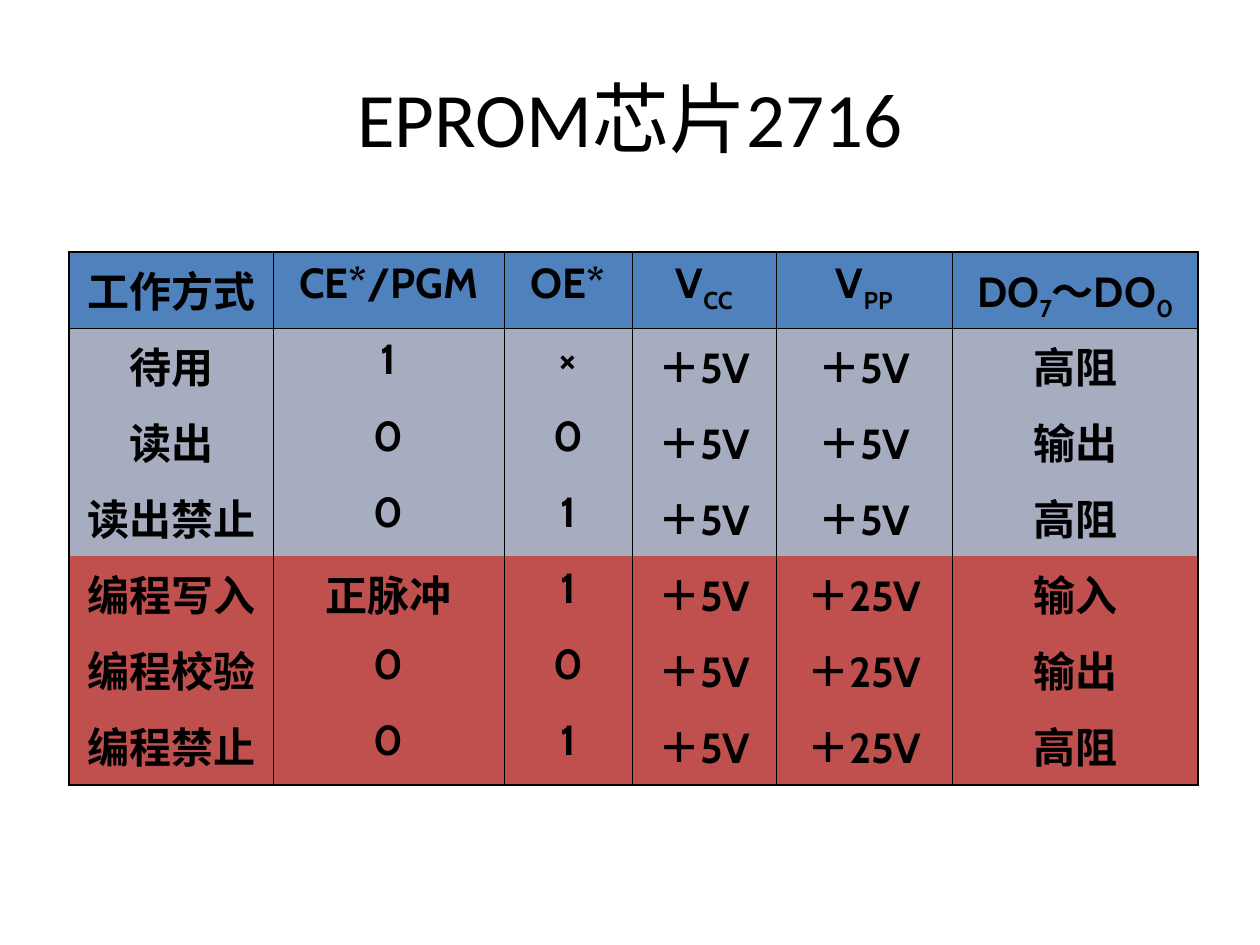
import pptx
import pptx.util
import pptx.dml.color
import pptx.enum.text
import pptx.oxml
import pptx.oxml.ns

Inches, Pt = pptx.util.Inches, pptx.util.Pt
ALIGN = pptx.enum.text.PP_ALIGN
BLUE, GRAY, RED, BLACK = "4F81BD", "A6ADC0", "C0504D", "000000"
THICK, THIN = 1.08, 0.45


def color(code):
    return pptx.dml.color.RGBColor.from_string(code)


def write(par, text, font, size, bold=False):
    """Add centred runs; every second piece between underscores is a subscript."""
    par.alignment = ALIGN.CENTER
    for n, piece in enumerate(text.split("_")):
        if not piece:
            continue
        run = par.add_run()
        run.text = piece
        run.font.name = font
        run.font.size = Pt(size)
        run.font.bold = bold
        run.font.color.rgb = color(BLACK)
        if n % 2:
            run.font._element.set("baseline", "-25000")


deck = pptx.Presentation()
deck.slide_width, deck.slide_height = Inches(10), Inches(7.5)
slide = deck.slides.add_slide(deck.slide_layouts[6])

# Title
wide, high = deck.slide_width, deck.slide_height
title = slide.shapes.add_textbox(
    int(wide * 0.05), int(high * 0.04), int(wide * 0.9), Inches(1.25))
frame = title.text_frame
frame.word_wrap = True
frame.vertical_anchor = pptx.enum.text.MSO_ANCHOR.MIDDLE
write(frame.paragraphs[0], "EPROM芯片2716", "Calibri", 44)

# Table of working modes
rows = [
    ["工作方式", "CE*/PGM", "OE*", "V_CC_", "V_PP_", "DO_7_～DO_0_"],
    ["待用", "1", "×", "＋5V", "＋5V", "高阻"],
    ["读出", "0", "0", "＋5V", "＋5V", "输出"],
    ["读出禁止", "0", "1", "＋5V", "＋5V", "高阻"],
    ["编程写入", "正脉冲", "1", "＋5V", "＋25V", "输入"],
    ["编程校验", "0", "0", "＋5V", "＋25V", "输出"],
    ["编程禁止", "0", "1", "＋5V", "＋25V", "高阻"],
]
fills = [BLUE] + [GRAY] * 3 + [RED] * 3
widths = [1.62, 1.83, 1.02, 1.14, 1.4, 1.95]
last, end = len(rows) - 1, len(widths) - 1

table = slide.shapes.add_table(
    len(rows), len(widths), Inches(0.55), Inches(2),
    Inches(sum(widths)), Inches(4.23)).table
table.first_row = table.horz_banding = False
for col, width in zip(table.columns, widths):
    col.width = Inches(width)

for r, row in enumerate(rows):
    for c, text in enumerate(row):
        cell = table.cell(r, c)
        cell.fill.solid()
        cell.fill.fore_color.rgb = color(fills[r])
        par = cell.text_frame.paragraphs[0]
        par.space_before = Pt(6)
        write(par, text, "Cabin" if c else "Times New Roman", 24, True)

        # Thick frame, thin column rules, and one thin rule under the header
        edges = {
            "L": THIN if c else THICK,
            "R": THICK if c == end else THIN,
            "T": {0: THICK, 1: THIN}.get(r),
            "B": {0: THIN, last: THICK}.get(r),
        }
        props = cell._tc.get_or_add_tcPr()
        for n, (side, size) in enumerate(edges.items()):
            paint = (f'<a:solidFill><a:srgbClr val="{BLACK}"/></a:solidFill>'
                     if size else "<a:noFill/>")
            props.insert(n, pptx.oxml.parse_xml(
                f'<a:ln{side} {pptx.oxml.ns.nsdecls("a")} '
                f'w="{Pt(size or 0)}">{paint}</a:ln{side}>'))

deck.save("out.pptx")
